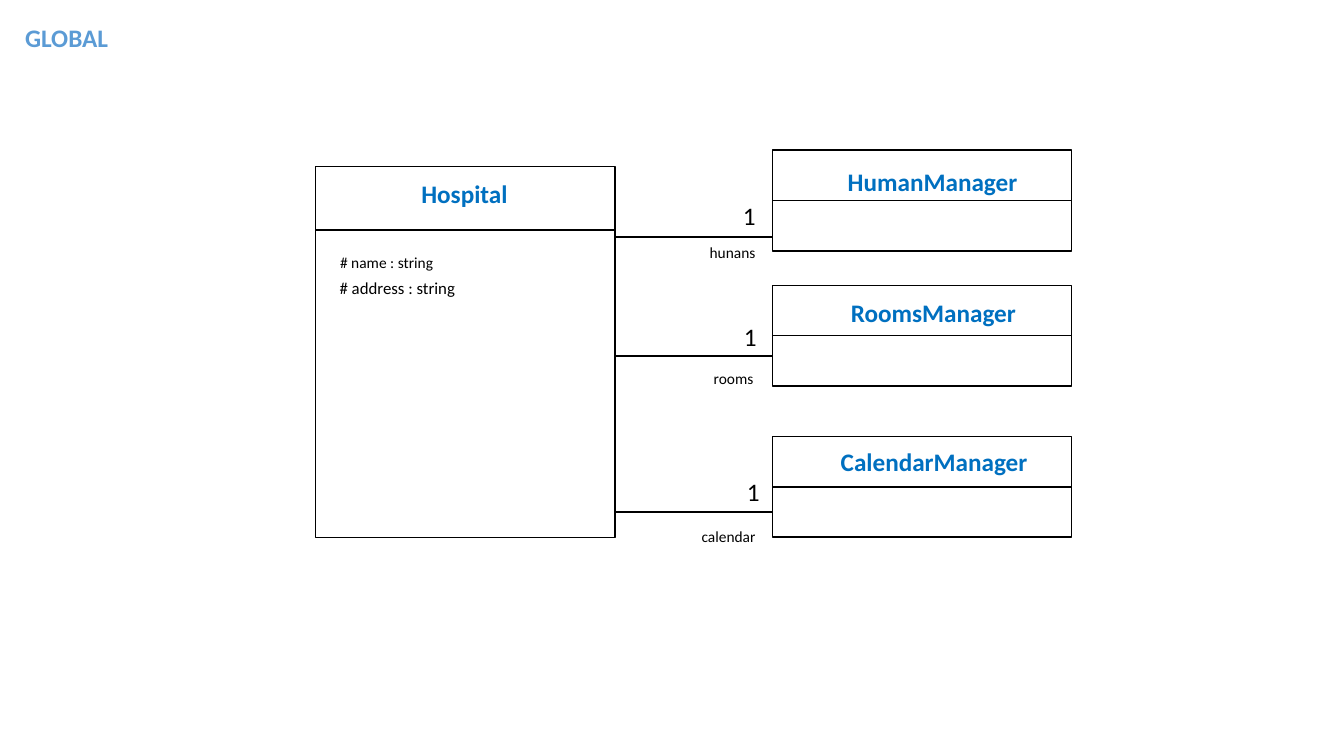
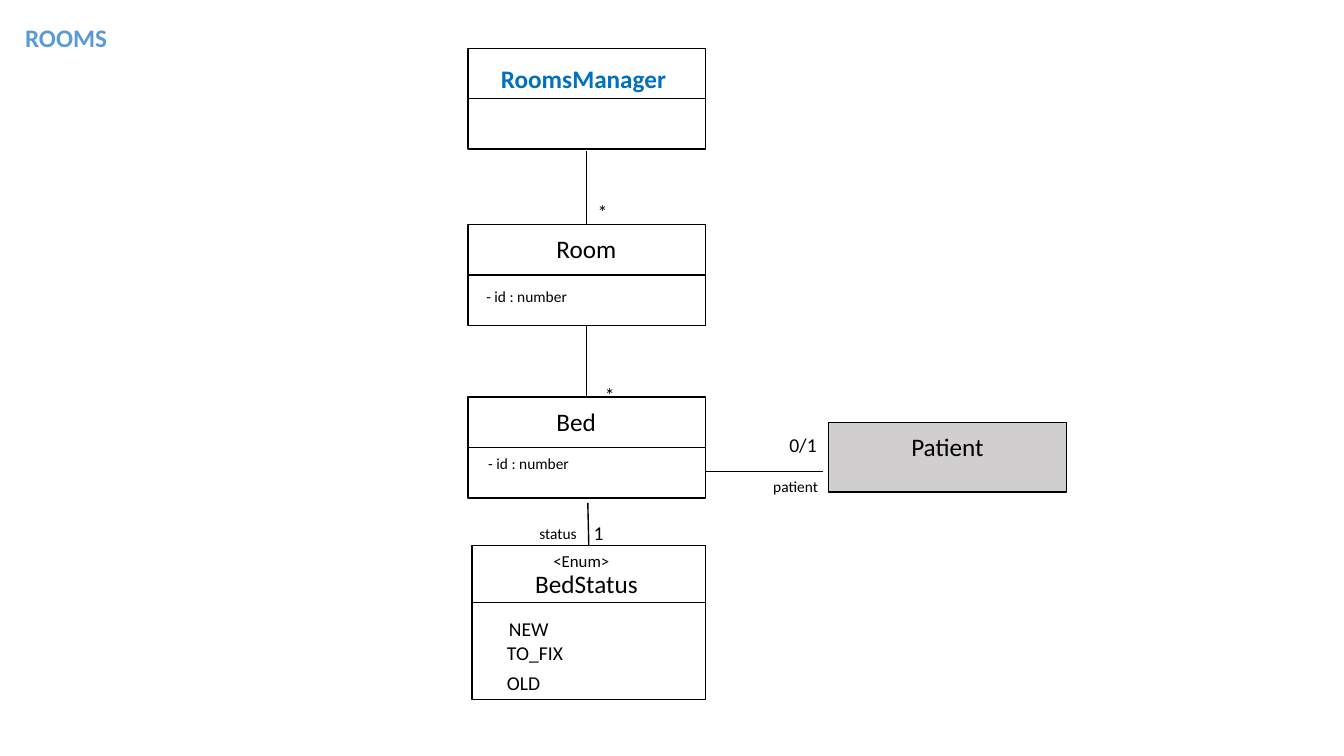
from pptx import Presentation
from pptx.dml.color import RGBColor
from pptx.enum import shapes, text
from pptx.oxml.ns import qn
from pptx.util import Inches, Pt
from lxml import etree

COLORS = {
    "ink": "000000",
    "paper": "FFFFFF",
    "heading": "5B9BD5",
    "manager": "0070C0",
    "outside": "D0CECE",
}
LABEL_HEIGHTS = {11: 0.29, 12: 0.3, 14: 0.34, 18: 0.4}
HEADER = 0.5


def color(name):
    return RGBColor.from_string(COLORS[name])


class ClassDiagram:
    """Holds the diagram style and the slide being drawn."""

    font = "Calibri"
    line_width = Pt(1)

    def __init__(self):
        self.presentation = Presentation()
        self.presentation.slide_width = Inches(13.33)
        self.presentation.slide_height = Inches(7.5)
        self.slide = None

    def new_slide(self, heading, width):
        layout = self.presentation.slide_layouts[6]
        self.slide = self.presentation.slides.add_slide(layout)
        self.label(heading, 0.15, 0.17, width, 18, "heading", bold=True)

    def label(self, words, left, top, width, size=11, ink="ink", bold=False, wrap=False):
        box = self.slide.shapes.add_textbox(
            Inches(left), Inches(top), Inches(width), Inches(LABEL_HEIGHTS[size]))
        frame = box.text_frame
        frame.text = words
        frame.word_wrap = wrap
        frame.auto_size = text.MSO_AUTO_SIZE.SHAPE_TO_FIT_TEXT
        font = frame.paragraphs[0].runs[0].font
        font.name = self.font
        font.size = Pt(size)
        font.bold = bold
        font.color.rgb = color(ink)

    def manager_name(self, words, left, top, width):
        self.label(words, left, top, width, 18, "manager", bold=True)

    def line(self, x1, y1, x2, y2):
        connector = self.slide.shapes.add_connector(
            shapes.MSO_CONNECTOR.STRAIGHT, Inches(x1), Inches(y1), Inches(x2), Inches(y2))
        connector.line.width = self.line_width
        connector.line.color.rgb = color("ink")
        properties = connector._element.spPr
        etree.SubElement(properties, qn("a:effectLst"))

    def box(self, left, top, width, height, fill="paper"):
        shape = self.slide.shapes.add_shape(
            shapes.MSO_SHAPE.RECTANGLE,
            Inches(left), Inches(top), Inches(width), Inches(height))
        shape.shadow.inherit = False
        shape.fill.solid()
        shape.fill.fore_color.rgb = color(fill)
        shape.line.width = self.line_width
        shape.line.color.rgb = color("ink")

    def class_box(self, left, top, width, height=1.0, header=HEADER):
        """Draws a box with a line under its header."""
        self.box(left, top, width, height)
        self.line(left, top + header, left + width, top + header)


def draw_global(diagram):
    diagram.new_slide("GLOBAL", 1.03)
    hospital_left, manager_left, class_width = 3.13, 7.66, 2.97

    diagram.class_box(hospital_left, 1.65, class_width, 3.68, header=0.63)
    diagram.manager_name("Hospital", 4.08, 1.72, 1.08)
    diagram.label(" # name : string", 3.24, 2.46, 1.17)
    diagram.label("# address : string", 3.27, 2.71, 1.36, 12)

    # Box top, name (words, left, top, width), line y, count place, role
    managers = [
        (1.49, ("HumanManager", 8.31, 1.6, 1.9), 2.35, (7.27, 1.94),
         ("hunans", 6.94, 2.36, 0.66)),
        (2.83, ("RoomsManager", 8.34, 2.9, 1.87), 3.53, (7.28, 3.14),
         ("rooms", 6.98, 3.61, 0.6)),
        (4.33, ("CalendarManager", 8.24, 4.38, 2.07), 5.08, (7.31, 4.68),
         ("calendar", 6.86, 5.18, 0.74)),
    ]
    for top, name, line_y, (count_left, count_top), role in managers:
        diagram.class_box(manager_left, top, class_width)
        diagram.manager_name(*name)
        diagram.line(6.11, line_y, manager_left, line_y)
        diagram.label("1", count_left, count_top, 0.33, 18)
        diagram.label(*role)


def draw_rooms(diagram):
    diagram.new_slide("ROOMS", 1.02)
    left, class_width = 4.64, 2.36
    right, middle = left + class_width, left + class_width / 2

    for top in (0.48, 2.23, 3.94):
        diagram.class_box(left, top, class_width)
    diagram.box(8.22, 4.19, class_width, 0.69, "outside")
    diagram.class_box(4.68, 5.41, 2.32, 1.53, header=0.57)

    diagram.line(middle, 1.5, middle, 2.23)
    diagram.line(middle, 3.23, middle, 3.94)
    diagram.line(right, 4.68, 8.16, 4.68)
    diagram.line(5.83, 4.99, 5.84, 5.41)

    diagram.manager_name("RoomsManager", 4.87, 0.58, 1.87)
    labels = [
        ("Room", 5.42, 2.27, 0.8, 18),
        ("Bed", 5.42, 3.98, 0.6, 18),
        ("Patient", 8.94, 4.23, 0.93, 18),
        ("*", 5.83, 1.93, 0.3, 14),
        ("*", 5.9, 3.75, 0.3, 14),
        ("0/1", 7.73, 4.25, 0.48, 14),
        ("1", 5.79, 5.12, 0.3, 14),
        (" - id : number", 4.69, 2.8, 1.04),
        (" - id : number", 4.71, 4.46, 1.04),
        ("patient", 7.57, 4.68, 0.65),
        ("status", 5.25, 5.15, 0.58),
    ]
    for label in labels:
        diagram.label(*label)

    enum_labels = [
        ("<Enum>", 5.39, 5.41, 1.11, 12),
        ("BedStatus", 5.21, 5.59, 1.79, 18),
        ("NEW", 4.95, 6.07, 0.87, 14),
        ("TO_FIX", 4.93, 6.31, 1.11, 14),
        ("OLD", 4.93, 6.61, 0.78, 14),
    ]
    for label in enum_labels:
        diagram.label(*label, wrap=True)


def main():
    diagram = ClassDiagram()
    draw_global(diagram)
    draw_rooms(diagram)
    diagram.presentation.save("out.pptx")


if __name__ == "__main__":
    main()
